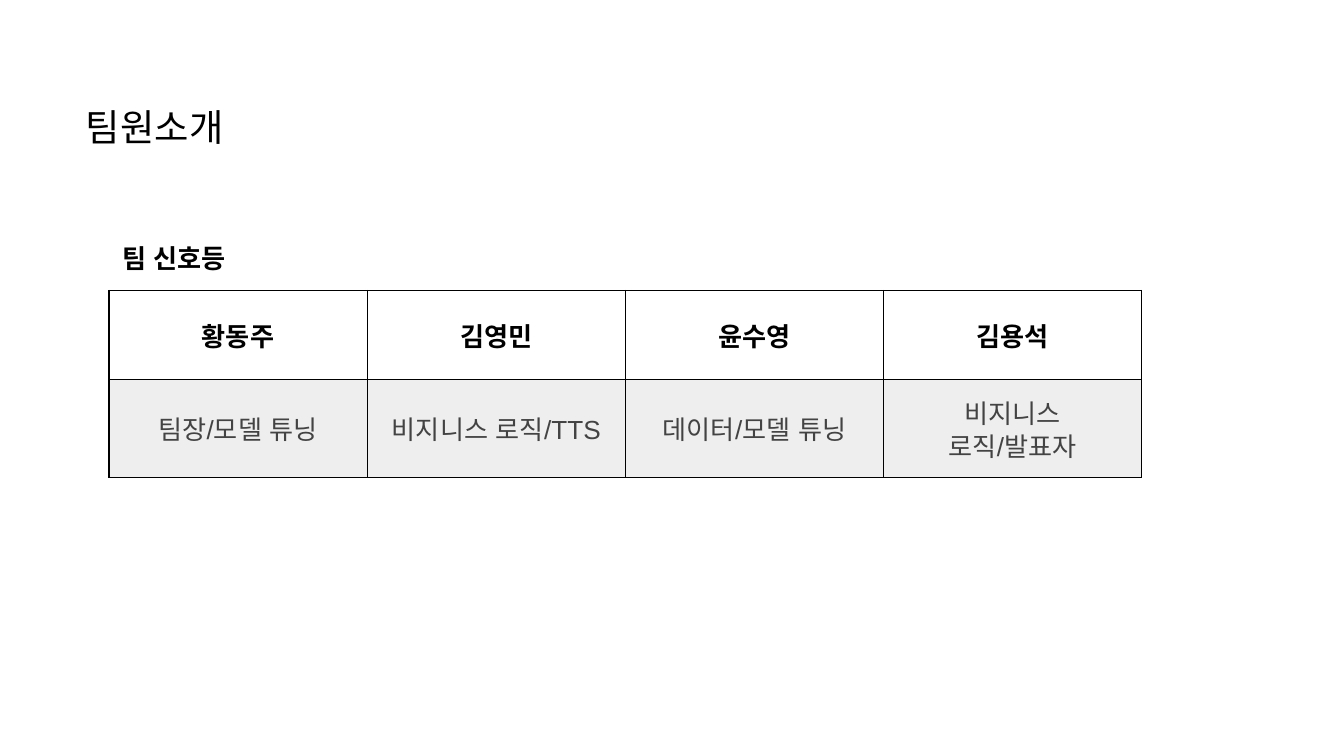
"""Build the team introduction slide."""
from lxml.etree import SubElement as Sub
from pptx import Presentation
from pptx.dml.color import RGBColor
from pptx.enum.text import MSO_ANCHOR as Anchor, PP_ALIGN as Align
from pptx.oxml.ns import qn
from pptx.util import Cm, Pt

BLACK = RGBColor(0x00, 0x00, 0x00)
DARK = RGBColor(0x43, 0x43, 0x43)
PALE = RGBColor(0xEE, 0xEE, 0xEE)
FONT = "Arial"
PAD = Cm(0.25)

TITLE = "팀원소개"
TEAM = "팀 신호등"
ROLES = [
    ("황동주", "팀장/모델 튜닝"),
    ("김영민", "비지니스 로직/TTS"),
    ("윤수영", "데이터/모델 튜닝"),
    ("김용석", "비지니스 로직/발표자"),
]
LEFT, TOP, WIDE = 2.06, 5.49, 4.88
HIGH = (1.68, 1.63)


def write(frame, text, size=14, color=BLACK, bold=False, align=Align.LEFT, space=1.0):
    frame.word_wrap = True
    para = frame.paragraphs[0]
    para.alignment = align
    para.line_spacing = space
    run = para.add_run()
    run.text = text
    font = run.font
    font.name, font.size, font.bold = FONT, Pt(size), bold
    font.color.rgb = color
    Sub(font._element, qn("a:ea"), typeface=FONT)


def label(slide, text, left, top, wide, high, **form):
    box = slide.shapes.add_textbox(Cm(left), Cm(top), Cm(wide), Cm(high))
    frame = box.text_frame
    frame.margin_left = frame.margin_right = PAD
    frame.margin_top = frame.margin_bottom = PAD
    frame.vertical_anchor = Anchor.MIDDLE
    write(frame, text, **form)


def border(cell):
    props = cell._tc.get_or_add_tcPr()
    for side in ("L", "R", "T", "B"):
        line = Sub(props, qn("a:ln" + side), w=str(Pt(0.75)))
        fill = Sub(line, qn("a:solidFill"))
        Sub(fill, qn("a:srgbClr"), val=str(BLACK))


def style(cell, head):
    cell.margin_left = cell.margin_right = PAD
    cell.margin_top = cell.margin_bottom = PAD
    cell.vertical_anchor = Anchor.MIDDLE
    border(cell)
    if head:
        cell.fill.background()
    else:
        cell.fill.solid()
        cell.fill.fore_color.rgb = PALE


def roster(slide):
    count = len(ROLES)
    grid = slide.shapes.add_table(
        len(HIGH), count, Cm(LEFT), Cm(TOP), Cm(WIDE * count), Cm(sum(HIGH))
    ).table
    grid.horz_banding = False
    for row, high in zip(grid.rows, HIGH):
        row.height = Cm(high)
    for col, pair in enumerate(ROLES):
        grid.columns[col].width = Cm(WIDE)
        for row, text in enumerate(pair):
            head = row == 0
            cell = grid.cell(row, col)
            style(cell, head)
            write(cell.text_frame, text, color=BLACK if head else DARK,
                  bold=head, align=Align.CENTER, space=1.15)


def main():
    deck = Presentation()
    deck.slide_width, deck.slide_height = Cm(25.4), Cm(14.29)
    slide = deck.slides.add_slide(deck.slide_layouts[6])
    label(slide, TITLE, 1.37, 1.24, 17.68, 2.29, size=20)
    roster(slide)
    label(slide, TEAM, LEFT, 4.27, 17.68, 1.22, bold=True)
    deck.save("out.pptx")


if __name__ == "__main__":
    main()
